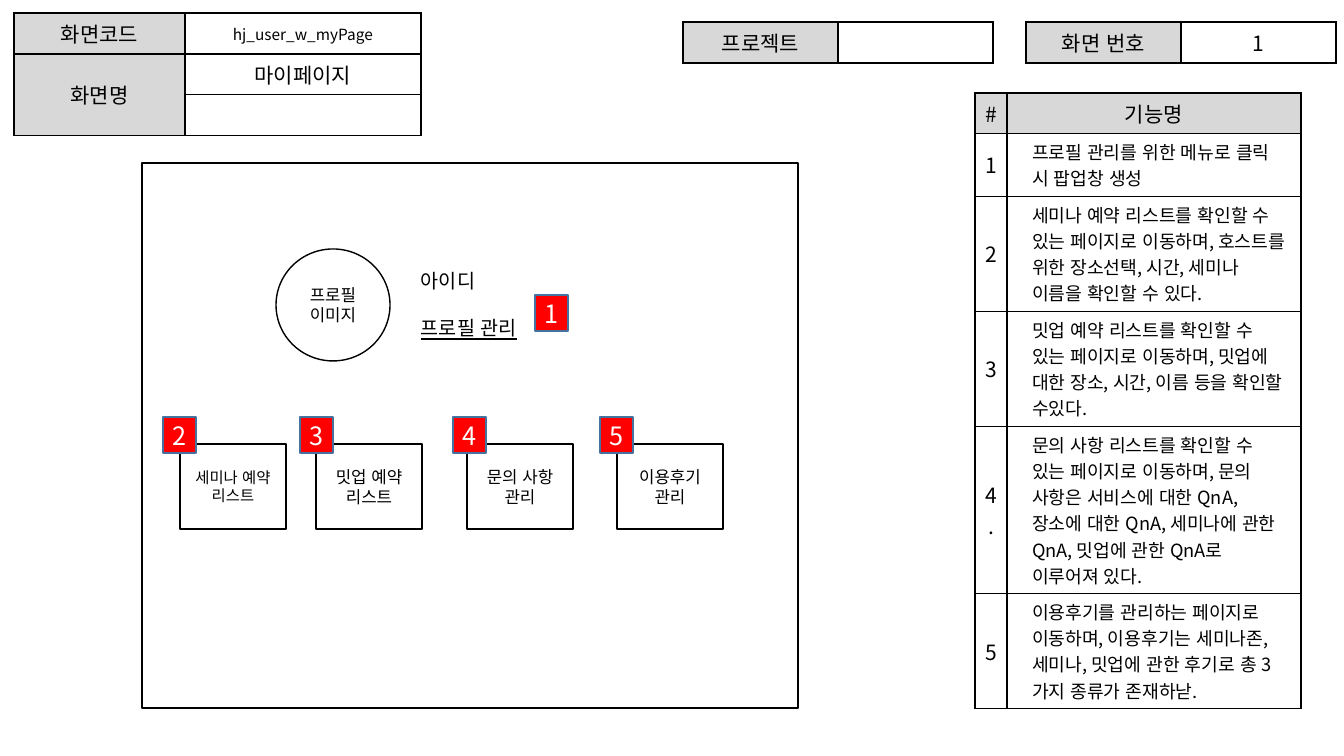
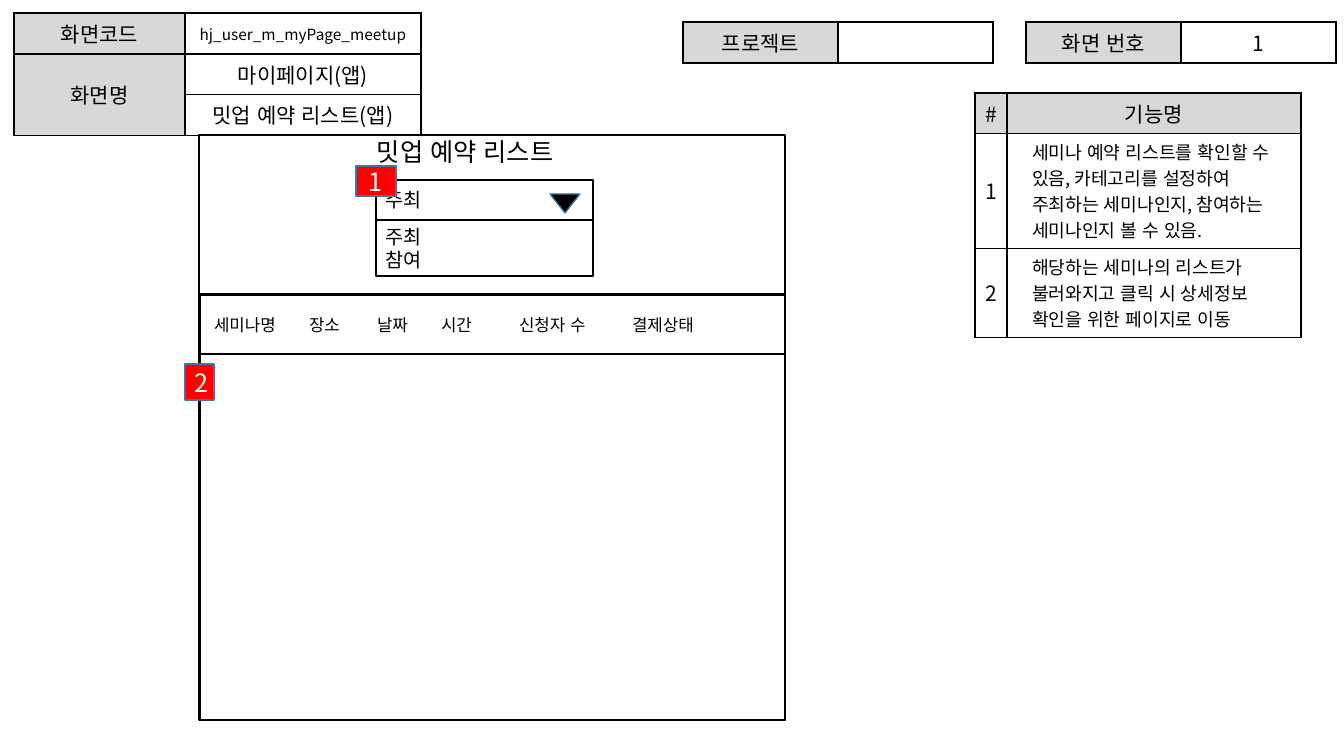
from lxml.etree import SubElement
from pptx import Presentation
from pptx.dml.color import RGBColor
from pptx.enum.lang import MSO_LANGUAGE_ID as Lang
from pptx.enum.shapes import MSO_SHAPE as Shape
from pptx.enum.text import MSO_ANCHOR as Anchor, PP_ALIGN as Align
from pptx.oxml import parse_xml
from pptx.oxml.ns import nsdecls, qn
from pptx.util import Pt

BLACK = RGBColor(0x00, 0x00, 0x00)
WHITE = RGBColor(0xFF, 0xFF, 0xFF)
LABEL_GREY = RGBColor(0xD8, 0xD8, 0xD8)
BADGE_RED = RGBColor(0xFF, 0x00, 0x00)
BADGE_EDGE = RGBColor(0x43, 0x73, 0x9E)
FONT = "Noto Sans CJK KR"
ROW = 41
TABLE_LEADING = 1.44

FEATURES_WEB = [
    ("1", "프로필 관리를 위한 메뉴로 클릭 시 팝업창 생성", 2),
    ("2", "세미나 예약 리스트를 확인할 수 있는 페이지로 이동하며, 호스트를 위한 장소선택, 시간, "
          "세미나 이름을 확인할 수 있다.", 4),
    ("3", "밋업 예약 리스트를 확인할 수 있는 페이지로 이동하며, 밋업에 대한 장소, 시간, "
          "이름 등을 확인할 수있다.", 4),
    ("4.", "문의 사항 리스트를 확인할 수 있는 페이지로 이동하며, 문의 사항은 서비스에 대한 QnA, "
           "장소에 대한 QnA, 세미나에 관한 QnA, 밋업에 관한 QnA로 이루어져 있다.", 6),
    ("5", "이용후기를 관리하는 페이지로 이동하며, 이용후기는 세미나존, 세미나, 밋업에 관한 후기로 "
          "총 3가지 종류가 존재하낟.", 4),
]
FEATURES_APP = [
    ("1", "세미나 예약 리스트를 확인할 수 있음, 카테고리를 설정하여 주최하는 세미나인지, "
          "참여하는 세미나인지 볼 수 있음.", 4),
    ("2", "해당하는 세미나의 리스트가 불러와지고 클릭 시 상세정보 확인을 위한 페이지로 이동", 3),
]
MENU = [
    (38, 21, "세미나 예약 리스트", 11, "2"),
    (174, 158, "밋업 예약\n리스트", 12, "3"),
    (325, 311, "문의 사항\n관리", 12, "4"),
    (475, 458, "이용후기 관리", 12, "5"),
]


def px(length):
    """Turn whole pixels into EMU."""
    return round(length * 914400 / 100.8)


def write(frame, text, size=12, color=BLACK, align=Align.CENTER, leading=1.2,
          gap=0, indent=0, tabs=()):
    """Fill a text frame, one paragraph for each line of text."""
    frame.word_wrap = True
    for number, line in enumerate(text.split("\n")):
        paragraph = frame.add_paragraph() if number else frame.paragraphs[0]
        paragraph.alignment = align
        paragraph.line_spacing = Pt(size * leading)
        if number and gap:
            paragraph.space_before = Pt(gap)
        properties = paragraph._p.get_or_add_pPr()
        if indent:
            properties.set("marL", str(px(indent)))
        if tabs:
            stops = SubElement(properties, qn("a:tabLst"))
            for stop in tabs:
                SubElement(stops, qn("a:tab"), pos=str(px(stop)), algn="l")
        if line:
            run = paragraph.add_run()
            run.text = line
            font = run.font
            font.name, font.size = FONT, Pt(size)
            font.color.rgb = color
            font.language_id = Lang.KOREAN
            SubElement(run._r.get_or_add_rPr(), qn("a:ea"), typeface=FONT)
        SubElement(paragraph._p, qn("a:endParaRPr"), sz=str(size * 100))


def draw(shapes, kind, box, text="", fill=None, edge=BLACK, **style):
    """Add an outlined shape with optional fill and centred text."""
    shape = shapes.add_shape(kind, *map(px, box))
    shape.shadow.inherit = False
    if fill is None:
        shape.fill.background()
    else:
        shape.fill.solid()
        shape.fill.fore_color.rgb = fill
    shape.line.color.rgb = edge
    shape.line.width = Pt(1)
    if text:
        shape.text_frame.vertical_anchor = Anchor.MIDDLE
        write(shape.text_frame, text, **style)
    return shape


def label(shapes, box, text, **style):
    """Add a free text box."""
    frame = shapes.add_textbox(*map(px, box)).text_frame
    write(frame, text, align=Align.LEFT, **style)
    return frame


def badge(shapes, x, y, number, width=33, height=36):
    """Add a red numbered marker."""
    draw(shapes, Shape.RECTANGLE, (x, y, width, height), number,
         fill=BADGE_RED, edge=BADGE_EDGE, size=18, color=WHITE)


def fill_cell(cell, text, fill=WHITE, size=15, anchor=Anchor.MIDDLE, **style):
    """Fill, border and write one table cell."""
    cell.fill.solid()
    cell.fill.fore_color.rgb = fill
    for order, side in enumerate(("lnL", "lnR", "lnT", "lnB")):
        border = parse_xml(
            f'<a:{side} {nsdecls("a")} w="12700"><a:solidFill>'
            f'<a:srgbClr val="{BLACK}"/></a:solidFill></a:{side}>')
        cell._tc.get_or_add_tcPr().insert(order, border)
    cell.vertical_anchor = anchor
    write(cell.text_frame, text, size=size, leading=TABLE_LEADING, **style)


def add_grid(shapes, x, y, widths, heights):
    """Add an unstyled table with the given column and row sizes."""
    table = shapes.add_table(len(heights), len(widths), px(x), px(y),
                             px(sum(widths)), px(sum(heights))).table
    table.first_row = table.horz_banding = False
    for column, width in zip(table.columns, widths):
        column.width = px(width)
    for row, height in zip(table.rows, heights):
        row.height = px(height)
    return table


def add_screen_info(shapes, x, y, code, name, subname):
    """Add the table with the screen code and names."""
    table = add_grid(shapes, x, y, (171, 236), (ROW, ROW - 1, ROW))
    for row, title in enumerate(("화면코드", "화면명", "")):
        fill_cell(table.cell(row, 0), title, fill=LABEL_GREY)
    table.cell(1, 0).merge(table.cell(2, 0))
    for row, (value, size) in enumerate(((code, 11), (name, 15), (subname, 15))):
        fill_cell(table.cell(row, 1), value, size=size)


def add_field(shapes, x, y, title, value):
    """Add a one-row table with a label and its value."""
    table = add_grid(shapes, x, y, (155, 155), (ROW,))
    fill_cell(table.cell(0, 0), title, fill=LABEL_GREY)
    fill_cell(table.cell(0, 1), value)


def add_features(shapes, x, y, features):
    """Add the numbered table of functions, with rows as tall as their lines."""
    heights = [40] + [26 * lines + 11 for *_, lines in features]
    table = add_grid(shapes, x, y, (32, 294), heights)
    for column, title in enumerate(("#", "기능명")):
        fill_cell(table.cell(0, column), title, fill=LABEL_GREY)
    for row, (number, description, _) in enumerate(features, 1):
        fill_cell(table.cell(row, 0), number)
        fill_cell(table.cell(row, 1), description, size=13, anchor=Anchor.TOP,
                  align=Align.LEFT, indent=15)


def add_screen(deck, code, name, subname, features):
    """Add a slide with the tables that every screen has."""
    shapes = deck.slides.add_slide(deck.slide_layouts[6]).shapes
    add_screen_info(shapes, 14, 13, code, name, subname)
    add_field(shapes, 1026, 22, "화면 번호", "1")
    add_field(shapes, 683, 22, "프로젝트", "")
    add_features(shapes, 975, 93, features)
    return shapes


def add_my_page(shapes, x, y, width, height):
    """Draw the web page with the profile and its menu."""
    draw(shapes, Shape.RECTANGLE, (x, y, width, height))
    draw(shapes, Shape.OVAL, (x + 134, y + 86, 114, 112), "프로필이미지")
    profile = label(shapes, (x + 269, y + 101, 258, 82), "아이디\n프로필 관리",
                    size=14, gap=17)
    profile.paragraphs[1].runs[0].font.underline = True
    for left, _, title, size, _ in MENU:
        draw(shapes, Shape.RECTANGLE, (x + left, y + 281, 106, 85), title, size=size)
    badge(shapes, x + 393, y + 132, "1")
    for _, left, _, _, number in MENU:
        badge(shapes, x + left, y + 254, number)


def add_category_picker(shapes, x, y, width):
    """Draw the open drop-down list with its marker."""
    picker = shapes.add_group_shape().shapes
    draw(picker, Shape.RECTANGLE, (x, y, width, 40), "주최", size=14, align=Align.LEFT)
    arrow = draw(picker, Shape.ISOSCELES_TRIANGLE, (x + 174, y + 14, 30, 19),
                 fill=BLACK, edge=BADGE_EDGE)
    arrow.rotation = 180
    draw(picker, Shape.RECTANGLE, (x, y + 40, width, 56), "주최\n참여",
         size=14, align=Align.LEFT)
    badge(picker, x - 20, y - 14, "1", width=40, height=30)


def add_meetup_list(shapes, x, y, width, height):
    """Draw the list area with its column titles and marker."""
    listing = shapes.add_group_shape().shapes
    draw(listing, Shape.RECTANGLE, (x, y, width, height))
    titles = "\t".join(("세미나명", "장소", "날짜", "시간", "신청자 수", "결제상태"))
    header = draw(listing, Shape.RECTANGLE, (x, y + 1, width, 59), titles,
                  align=Align.LEFT, tabs=(95, 163, 227, 305, 418))
    header.text_frame.margin_left = px(14)
    badge(listing, x - 15, y + 70, "2", width=29)


def add_meetup_page(shapes, x, y, width, height):
    """Draw the app page with the meetup reservations."""
    draw(shapes, Shape.RECTANGLE, (x, y, width, height))
    label(shapes, (x + 168, y - 4, 263, 40), "밋업 예약 리스트", size=18)
    add_category_picker(shapes, x + 177, y + 45, 217)
    add_meetup_list(shapes, x + 1, y + 159, width - 1, height - 159)


def main():
    """Build both screens and save the deck."""
    deck = Presentation()
    deck.slide_width, deck.slide_height = px(1344), px(756)
    web = add_screen(deck, "hj_user_w_myPage", "마이페이지", "", FEATURES_WEB)
    add_my_page(web, 142, 163, 656, 545)
    app = add_screen(deck, "hj_user_m_myPage_meetup", "마이페이지(앱)",
                     "밋업 예약 리스트(앱)", FEATURES_APP)
    add_meetup_page(app, 199, 135, 586, 585)
    deck.save("out.pptx")


if __name__ == "__main__":
    main()
